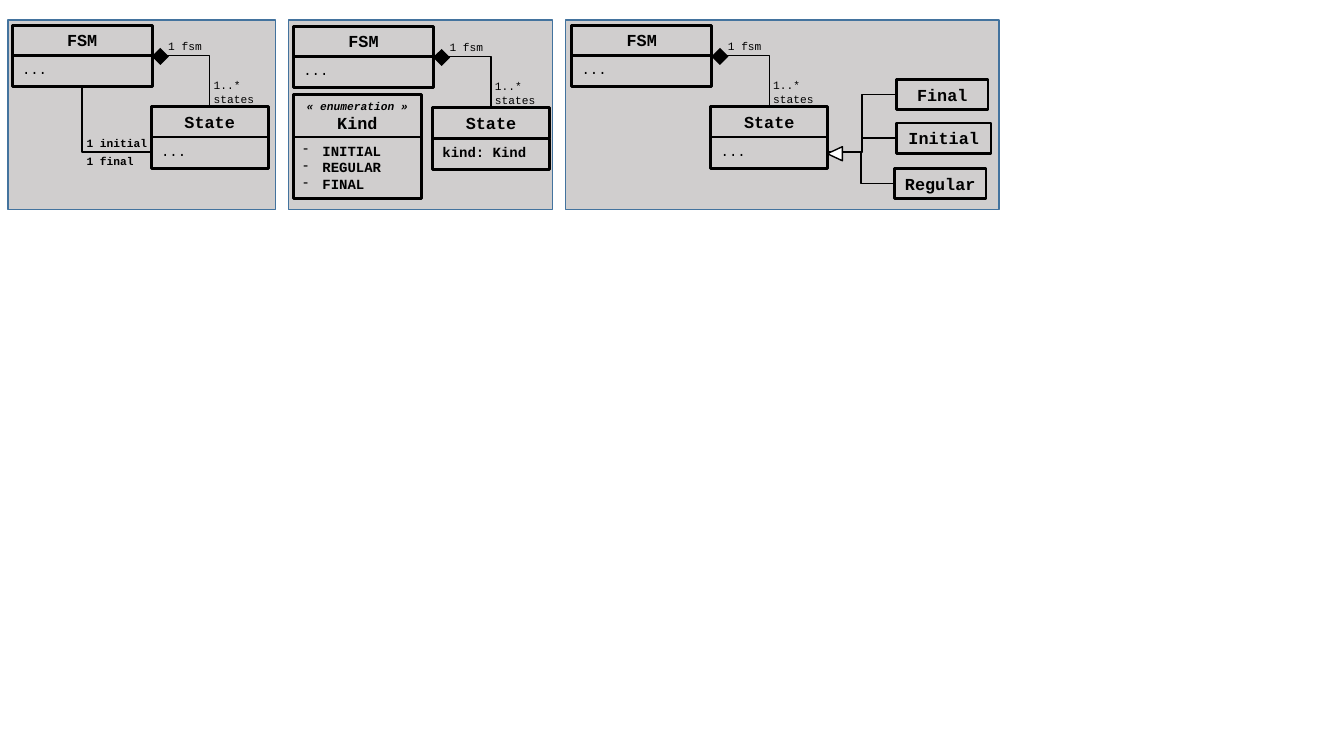
from dataclasses import dataclass

from lxml.etree import SubElement
from pptx import Presentation
from pptx.dml.color import RGBColor
from pptx.enum.shapes import MSO_CONNECTOR as Connector, MSO_SHAPE as Preset
from pptx.enum.text import MSO_ANCHOR as Anchor, MSO_AUTO_SIZE as AutoSize, PP_ALIGN as Align
from pptx.oxml.ns import qn
from pptx.util import Inches, Pt

COLUMNS, ROWS = 1333, 750  # grid over the slide
CELL = Inches(0.01)
HEAD, BODY = 30, 31  # rows of a class box
FSM_WIDTH, STATE_WIDTH = 139, 116
STATE_SHIFT, STATE_DROP = 138, 81  # State seen from FSM


@dataclass(frozen=True)
class Theme:
    font: str = "Courier New"
    ink: RGBColor = RGBColor(0, 0, 0)
    paper: RGBColor = RGBColor(0xFF, 0xFF, 0xFF)
    panel: RGBColor = RGBColor(0xD0, 0xCE, 0xCE)
    edge: RGBColor = RGBColor(0x43, 0x73, 0x9E)
    title: int = 12
    member: int = 10
    label: int = 8
    thick: float = 2
    thin: float = 1


THEME = Theme()


@dataclass(frozen=True)
class Box:
    left: float
    top: float
    width: float
    height: float

    def cells(self):
        return [round(n * CELL) for n in (self.left, self.top, self.width, self.height)]


# Basic parts
def add_block(group, box, preset=Preset.RECTANGLE, fill=None, line=None, weight=THEME.thin):
    shape = group.shapes.add_shape(preset, *box.cells())
    shape.shadow.inherit = False
    if fill is None:
        shape.fill.background()
    else:
        shape.fill.solid()
        shape.fill.fore_color.rgb = fill
    if line is None:
        shape.line.fill.background()
    else:
        shape.line.color.rgb = line
        shape.line.width = Pt(weight)
    return shape


def write(shape, text, size, bold=False, align=Align.LEFT, anchor=Anchor.TOP):
    frame = shape.text_frame
    frame.text = text
    frame.word_wrap = True
    frame.vertical_anchor = anchor
    for para in frame.paragraphs:
        para.alignment = align
        for span in para.runs:
            span.font.name = THEME.font
            span.font.size = Pt(size)
            span.font.bold = bold
            span.font.color.rgb = THEME.ink
    return frame


def add_label(group, box, text, bold=False):
    label = group.shapes.add_textbox(*box.cells())
    write(label, text, THEME.label, bold).auto_size = AutoSize.SHAPE_TO_FIT_TEXT


def add_elbow(group, start, end, corners=2):
    points = [round(n * CELL) for n in (*start, *end)]
    elbow = group.shapes.add_connector(Connector.ELBOW, *points)
    elbow.line.color.rgb = THEME.ink
    elbow.line.width = Pt(THEME.thin)
    properties = elbow.element.spPr
    SubElement(properties, qn("a:effectLst"))
    if corners == 1:
        properties.find(qn("a:prstGeom")).set("prst", "bentConnector2")


def add_bullets(frame):
    for para in frame.paragraphs:
        properties = para._p.get_or_add_pPr()
        properties.set("marL", str(Inches(0.19)))
        properties.set("indent", str(-Inches(0.19)))
        SubElement(properties, qn("a:buChar")).set("char", "-")


# Class boxes
def add_head(group, box, name):
    block = add_block(group, box, line=THEME.ink, weight=THEME.thick)
    return write(block, name, THEME.title, True, Align.CENTER, Anchor.MIDDLE)


def add_class(group, left, top, width, name, members="...", bold=False, head=HEAD, body=BODY):
    title = add_head(group, Box(left, top, width, head), name)
    block = add_block(group, Box(left, top + head, width, body), line=THEME.ink, weight=THEME.thick)
    return title, write(block, members, THEME.member, bold)


# Panel with FSM owning its states; returns the group and the place of State
def add_panel(page, box, left, top, members="...", bold=False):
    group = page.shapes.add_group_shape()
    add_block(group, box, fill=THEME.panel, line=THEME.edge)
    state_left, state_top = left + STATE_SHIFT, top + STATE_DROP
    add_class(group, left, top, FSM_WIDTH, "FSM")
    add_class(group, state_left, state_top, STATE_WIDTH, "State", members, bold)
    add_elbow(group, (state_left, top + HEAD), (state_left + STATE_WIDTH / 2, state_top), corners=1)
    add_label(group, Box(left + 190, top + 48, 62, 37), "1..*\nstates")
    add_label(group, Box(left + 145, top + 9, 61, 24), "1 fsm")
    diamond = add_block(group, Box(left + 141, top + 25, 12, 12), fill=THEME.ink)
    diamond.rotation = 45
    return group, state_left, state_top


def add_reference_panel(page, box):
    left, top = box.left + 4, box.top + 5
    group, state_left, state_top = add_panel(page, box, left, top)
    middle = left + FSM_WIDTH / 2
    add_elbow(group, (state_left, state_top + 45), (middle, top + HEAD + BODY), corners=1)
    for row, text in enumerate(("1 initial", "1 final")):
        add_label(group, Box(left + 64, top + 105 + 18 * row, 85, 24), text, bold=True)


def add_enumeration_panel(page, box):
    left, top = box.left + 5, box.top + 6
    group, *_ = add_panel(page, box, left, top, "kind: Kind", True)
    title, values = add_class(group, left, top + 68, 127, "«\u00a0enumeration\u00a0»\nKind",
                              "INITIAL\nREGULAR\nFINAL", True, head=42, body=61)
    stereotype = title.paragraphs[0].runs[0].font
    stereotype.size, stereotype.italic = Pt(THEME.label), True
    add_bullets(values)


def add_inheritance_panel(page, box):
    group, state_left, state_top = add_panel(page, box, box.left + 6, box.top + 5)
    parent = (state_left + STATE_WIDTH, state_top + 45)
    subclasses = (("Final", 328, 59, 91), ("Initial", 328, 102, 94), ("Regular", 326, 147, 91))
    for name, shift, drop, width in subclasses:
        child = Box(box.left + shift, box.top + drop, width, HEAD)
        add_elbow(group, (child.left, child.top + HEAD / 2), parent)
        add_head(group, child, name)
    arrow = add_block(group, Box(parent[0], parent[1] - 6, 14, 15), Preset.ISOSCELES_TRIANGLE,
                      THEME.paper, THEME.ink)
    arrow.rotation = 270


def main():
    deck = Presentation()
    deck.slide_width, deck.slide_height = COLUMNS * CELL, ROWS * CELL
    page = deck.slides.add_slide(deck.slide_layouts[6])
    add_reference_panel(page, Box(8, 20, 265, 188))
    add_enumeration_panel(page, Box(286, 20, 262, 188))
    add_inheritance_panel(page, Box(561, 20, 430, 188))
    deck.save("out.pptx")


if __name__ == "__main__":
    main()
